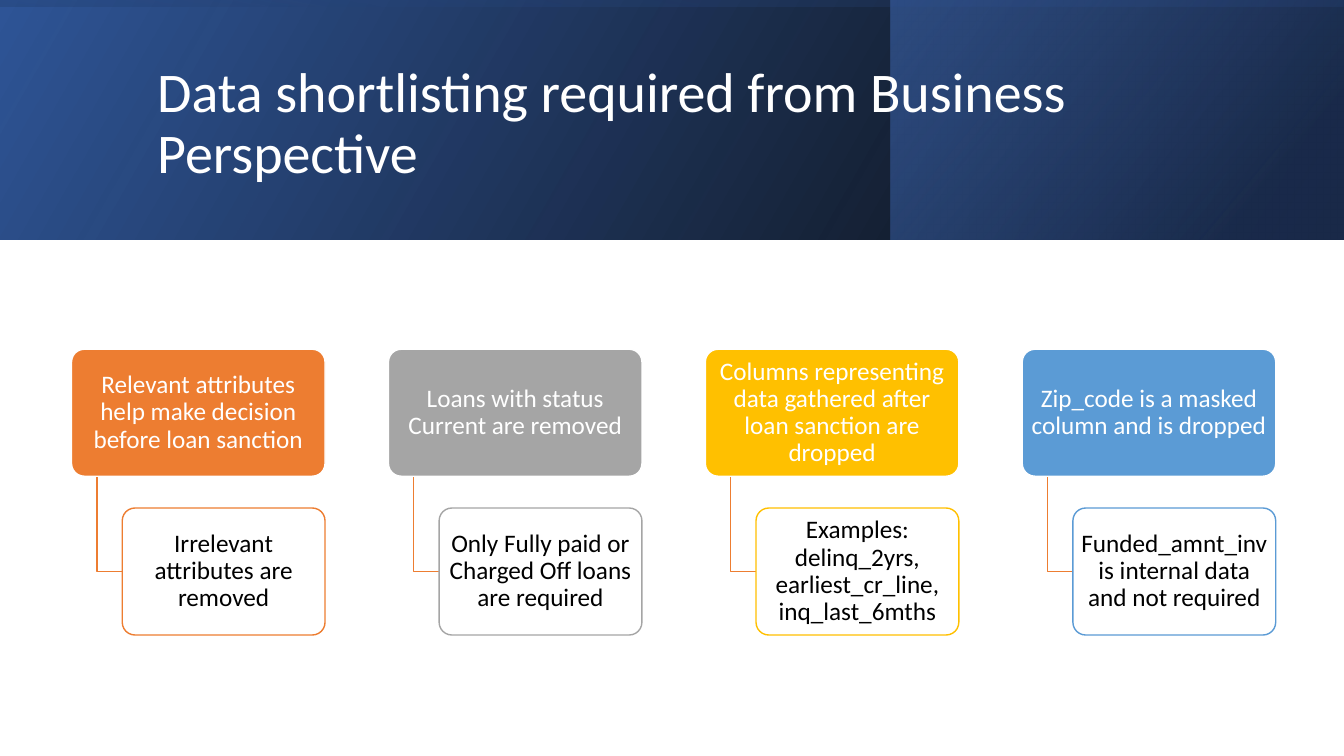
from lxml import etree
from pptx import Presentation
from pptx.dml.color import RGBColor
from pptx.enum.shapes import MSO_SHAPE
from pptx.enum.text import MSO_ANCHOR, MSO_AUTO_SIZE, PP_ALIGN
from pptx.oxml import parse_xml
from pptx.oxml.ns import nsdecls, qn
from pptx.util import Inches, Pt

RECT, ROUNDED = MSO_SHAPE.RECTANGLE, MSO_SHAPE.ROUNDED_RECTANGLE
MIDDLE, NO_FIT = MSO_ANCHOR.MIDDLE, MSO_AUTO_SIZE.NONE
LEFT, CENTER = PP_ALIGN.LEFT, PP_ALIGN.CENTER

FONT = "Calibri"
COLORS = {
    "white": "FFFFFF", "black": "000000", "navy": "203864",
    "deep_blue": "2F5597", "blue": "4472C4", "orange": "ED7D31",
    "gray": "A5A5A5", "gold": "FFC000", "sky": "5B9BD5",
}


def rgb(name):
    return RGBColor.from_string(COLORS[name])


def write_text(shape, text, size, color, align, margin):
    """Fill a shape or placeholder with one vertically centred paragraph."""
    frame = shape.text_frame
    frame.word_wrap = True
    frame.auto_size = NO_FIT
    frame.vertical_anchor = MIDDLE
    frame.margin_left = frame.margin_right = Inches(margin)
    frame.margin_top = frame.margin_bottom = Inches(margin)
    frame.text = text
    paragraph = frame.paragraphs[0]
    paragraph.alignment = align
    paragraph.line_spacing = 0.9
    paragraph.space_before = Pt(0)
    paragraph.font.name = FONT
    paragraph.font.size = Pt(size)
    paragraph.font.color.rgb = rgb(color)


prs = Presentation()
prs.slide_width, prs.slide_height = Inches(13.333), Inches(7.5)
slide = prs.slides.add_slide(prs.slide_layouts[5])
shapes = slide.shapes

# Header: three translucent gradients, one above the other
SLIDE_W, HEADER_H = 13.333, 2.375
# left, top, width, height, rotation, angle, stops of (position, color, opacity)
header_bands = [
    (0, 0, SLIDE_W, HEADER_H, 0, 330,
     [(0, "black", 96), (100, "deep_blue", 100)]),
    (8.84, 0, SLIDE_W - 8.84, HEADER_H, 0, 320,
     [(19, "navy", 68), (100, "blue", 48)]),
    ((SLIDE_W - HEADER_H) / 2, (HEADER_H - SLIDE_W) / 2, HEADER_H, SLIDE_W,
     270, 350, [(23, "deep_blue", 16), (99, "black", 45)]),
]
# The first band's far stop is fully opaque
for left, top, width, height, rotation, angle, stops in header_bands:
    band = shapes.add_shape(RECT, Inches(left), Inches(top),
                            Inches(width), Inches(height))
    band.shadow.inherit = False
    band.line.fill.background()
    band.rotation = rotation
    properties = band._element.spPr
    properties.find(qn("a:xfrm")).set("flipH", "1")
    stop_xml = "".join(
        f'<a:gs pos="{position * 1000}"><a:srgbClr val="{COLORS[color]}">'
        f'<a:alpha val="{opacity * 1000}"/></a:srgbClr></a:gs>'
        for position, color, opacity in stops)
    properties.find(qn("a:prstGeom")).addnext(parse_xml(
        f'<a:gradFill {nsdecls("a")} rotWithShape="1"><a:gsLst>{stop_xml}'
        f'</a:gsLst><a:lin ang="{angle * 60000}" scaled="0"/></a:gradFill>'))

title = shapes.title
title.left, title.top = Inches(1.51), Inches(0.38)
title.width, title.height = Inches(10.63), Inches(1.72)
write_text(title, "Data shortlisting required from Business Perspective",
           40, "white", LEFT, 0.05)
shapes._spTree.append(title._element)  # in front of the header bands

# Four columns: a rule, and its consequence hanging from an elbow line
columns = [
    ("orange", "Relevant attributes help make decision before loan sanction",
     "Irrelevant attributes are removed"),
    ("gray", "Loans with status Current are removed",
     "Only Fully paid or Charged Off loans are required"),
    ("gold", "Columns representing data gathered after loan sanction are dropped",
     "Examples: delinq_2yrs, earliest_cr_line, inq_last_6mths"),
    ("sky", "Zip_code is a masked column and is dropped",
     "Funded_amnt_inv is internal data and not required"),
]
CARD_W, CARD_H = Inches(2.515), Inches(1.26)
GRID_LEFT, RULE_TOP = Inches(0.71), Inches(3.465)
PITCH = CARD_W * 1.25
RESULT_TOP = RULE_TOP + CARD_H * 1.25

for index, (accent, rule, result) in enumerate(columns):
    left = GRID_LEFT + PITCH * index
    result_left = left + CARD_W * 0.2

    elbow_x, elbow_y = left + CARD_W * 0.1, RESULT_TOP + CARD_H * 0.5
    builder = shapes.build_freeform(int(elbow_x), int(RULE_TOP + CARD_H))
    builder.add_line_segments([(int(elbow_x), int(elbow_y)),
                               (int(result_left), int(elbow_y))], close=False)
    elbow = builder.convert_to_shape()
    elbow.shadow.inherit = False
    elbow.fill.background()
    elbow.line.color.rgb = rgb("orange")
    elbow.line.width = Pt(1)

    cards = [
        (left, RULE_TOP, CARD_W, accent, "white", "white", rule),
        (result_left, RESULT_TOP, CARD_W * 0.8, "white", accent, "black", result),
    ]
    for x, y, width, fill, outline, ink, text in cards:
        card = shapes.add_shape(ROUNDED, int(x), int(y), int(width), CARD_H)
        card.adjustments[0] = 0.1
        card.shadow.inherit = False
        card.fill.solid()
        card.fill.fore_color.rgb = rgb(fill)
        card.line.color.rgb = rgb(outline)
        card.line.width = Pt(1)
        write_text(card, text, 18, ink, CENTER, 0.03)
        if fill == "white":
            color = card._element.spPr.find(qn("a:solidFill"))[0]
            etree.SubElement(color, qn("a:alpha")).set("val", "90000")

prs.save("out.pptx")
